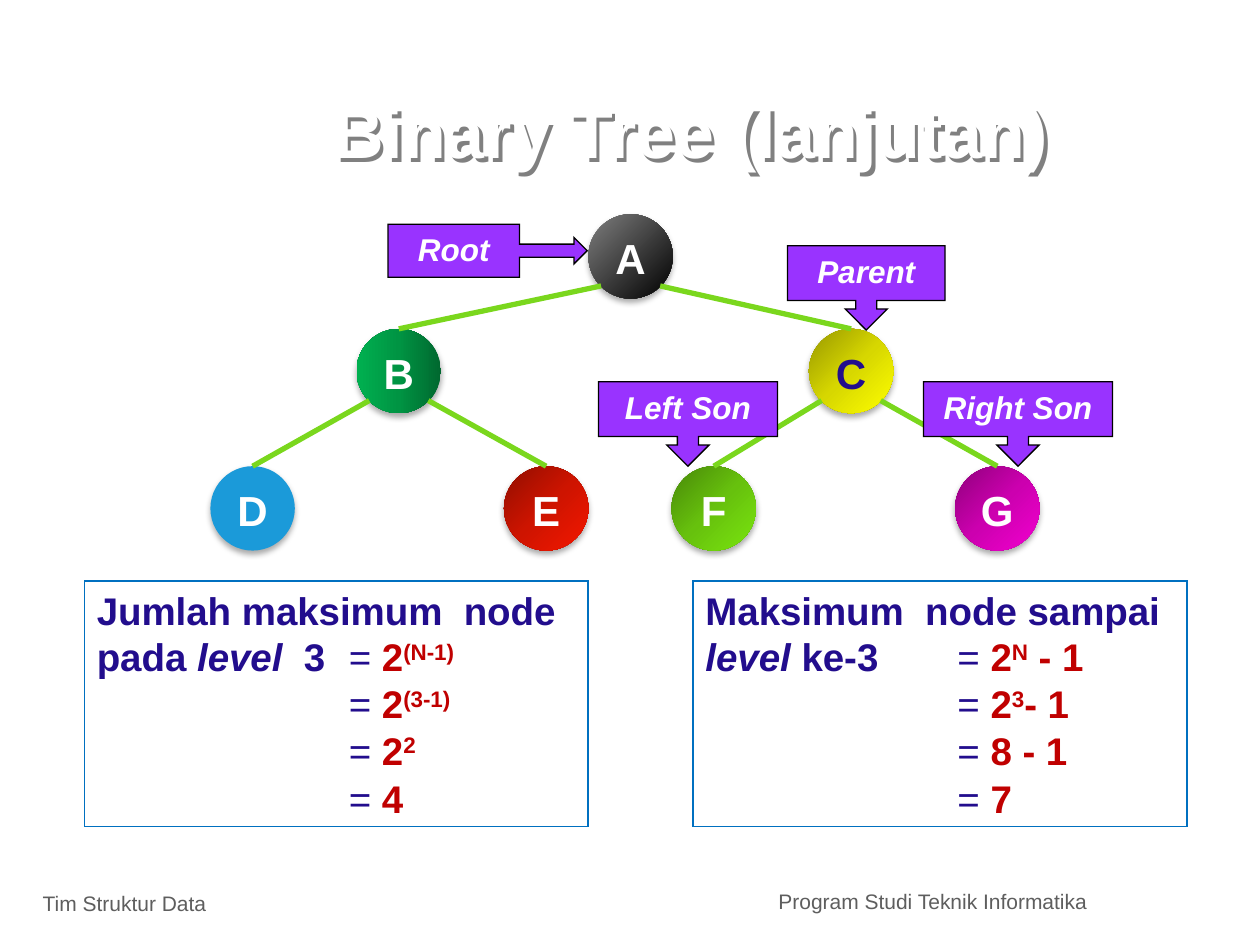
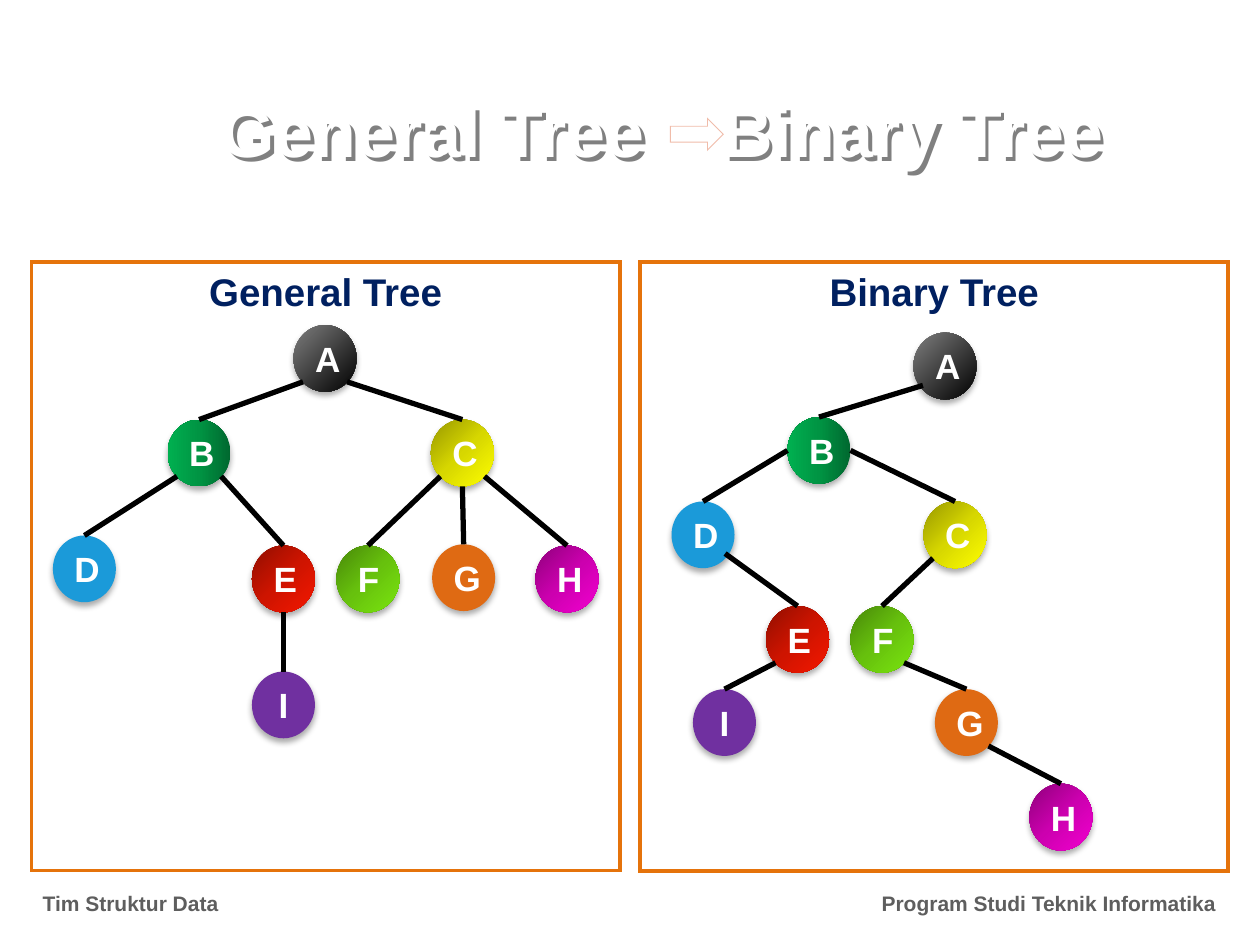
from lxml import etree
from pptx import Presentation
from pptx import util as u
from pptx.dml.color import RGBColor
from pptx.enum import shapes, text
from pptx.oxml.ns import qn

# ---- Shared look ----
COLORS = {"white": "FFFFFF", "black": "000000", "navy": "002060", "indigo": "220D8D",
          "red": "C00000", "purple": "9933FF", "green": "7AD71D", "blue": "0070C0",
          "orange": "E5730B", "footer": "5E5E5E", "title_shadow": "808080", "peach": "F0BCAA"}
FONT = "Arial"
LEFT, CENTER, RIGHT = text.PP_ALIGN.LEFT, text.PP_ALIGN.CENTER, text.PP_ALIGN.RIGHT
TOP, MIDDLE = text.MSO_ANCHOR.TOP, text.MSO_ANCHOR.MIDDLE
TITLE_ONLY = 5

# Node fills: one colour, or gradient stops in percent with a clockwise angle
NODE_FILLS = {
    "gray": ([(0, "7F7F7F"), (100, "000000")], 45),
    "emerald": ([(0, "00682F"), (50, "009443"), (100, "00B050")], 180),
    "yellow": ([(0, "979700"), (50, "D7D700"), (100, "FFFF00")], 45),
    "sky": "1B9AD9",
    "scarlet": ([(0, "910E00"), (50, "CE1400"), (100, "F41700")], 45),
    "lime": ([(0, "488809"), (50, "67C10D"), (100, "7AE50F")], 45),
    "magenta": ([(0, "8F007B"), (50, "CC00AF"), (100, "F200CF")], 45),
    "amber": "DF6A13",
    "violet": "7030A0",
}

# Points on a node where a branch may start, as fractions of its size
BRANCH_STARTS = {"lower left": (0.15, 0.85), "lower right": (0.85, 0.85),
                 "mid left": (0.15, 0.79), "mid right": (0.85, 0.78),
                 "bottom": (0.5, 1), "left": (0, 0.5), "right": (1, 0.5)}

# Text formats
BOLD = {"size": u.Pt(22), "bold": True, "color": "indigo"}
ITALIC = {**BOLD, "italic": True}
EQUALS = {**BOLD, "bold": False}
VALUE = {**BOLD, "color": "red"}
POWER = {**VALUE, "baseline": 30000}
TITLE = {"size": u.Pt(40), "bold": True, "color": "white"}
CALLOUT = {"size": u.Pt(18), "bold": True, "italic": True, "color": "white"}
PANEL = {"size": u.Pt(22), "bold": True, "color": "navy"}

# ---- Slide 1 content ----
LEVEL_TREE = {
    "size": (0.67, 0.67), "font_size": 24, "anchor": TOP, "branch": "green",
    "nodes": {"A": (4.67, 1.7, "gray"), "B": (2.83, 2.61, "emerald"),
              "C": (6.42, 2.61, "yellow"), "D": (1.67, 3.7, "sky"),
              "E": (4, 3.7, "scarlet"), "F": (5.33, 3.7, "lime"),
              "G": (7.58, 3.7, "magenta")},
    "letter_colors": {"C": "indigo"},
    "edges": [("A", "lower left", "B"), ("A", "lower right", "C"),
              ("B", "lower left", "D"), ("B", "lower right", "E"),
              ("C", "lower left", "F"), ("C", "lower right", "G")],
}
DOWN = shapes.MSO_SHAPE.DOWN_ARROW_CALLOUT
CALLOUTS = [("Left Son", DOWN, (4.75, 3.03, 1.42, 0.67)),
            ("Right Son", DOWN, (7.33, 3.03, 1.5, 0.67)),
            ("Root", shapes.MSO_SHAPE.RIGHT_ARROW_CALLOUT, (3.08, 1.78, 1.58, 0.42)),
            ("Parent", DOWN, (6.25, 1.95, 1.25, 0.67))]
EQUALS_TAB = 2
STEP_TOPS = [5.35, 5.72, 6.1]
FORMULAS = [
    {"box": (0.67, 4.61, 4, 1.95),
     "statement": [
         [("Jumlah maksimum  node", BOLD)],
         [("pada ", BOLD), ("level ", ITALIC), (" 3 ", BOLD), ("\t= ", EQUALS),
          ("2", VALUE), ("(N-1)", POWER)]],
     "steps": [[("2", VALUE), ("(3-1)", POWER)],
               [("2", VALUE), ("2", POWER)],
               [("4", VALUE)]]},
    {"box": (5.5, 4.61, 3.92, 1.95),
     "statement": [
         [("Maksimum  node sampai", BOLD)],
         [("level ", ITALIC), ("ke-3 ", BOLD), ("\t= ", EQUALS),
          ("2", VALUE), ("N", POWER), (" - 1", VALUE)]],
     "steps": [[("2", VALUE), ("3", POWER), ("- 1", VALUE)],
               [("8 - 1", VALUE)],
               [("7", VALUE)]]},
]

# ---- Slide 2 content ----
SMALL_TREE = {"size": (0.5, 0.53), "font_size": 20, "anchor": MIDDLE, "branch": "black",
              "letter_colors": {}}
GENERAL_TREE = {
    **SMALL_TREE,
    "nodes": {"A": (2.33, 2.58, "gray"), "B": (1.33, 3.33, "emerald"),
              "C": (3.42, 3.33, "yellow"), "D": (0.42, 4.25, "sky"),
              "E": (2, 4.33, "scarlet"), "F": (2.67, 4.33, "lime"),
              "G": (3.43, 4.32, "amber"), "H": (4.25, 4.33, "magenta"),
              "I": (2, 5.33, "violet")},
    "edges": [("A", "lower left", "B"), ("A", "lower right", "C"),
              ("B", "lower left", "D"), ("B", "lower right", "E"),
              ("C", "lower left", "F"), ("C", "bottom", "G"),
              ("C", "lower right", "H"), ("E", "bottom", "I")],
}
BINARY_TREE = {
    **SMALL_TREE,
    "nodes": {"A": (7.25, 2.64, "gray"), "B": (6.25, 3.31, "emerald"),
              "C": (7.33, 3.98, "yellow"), "D": (5.33, 3.98, "sky"),
              "E": (6.08, 4.81, "scarlet"), "F": (6.75, 4.81, "lime"),
              "G": (7.42, 5.47, "amber"), "H": (8.17, 6.22, "magenta"),
              "I": (5.5, 5.47, "violet")},
    "edges": [("A", "mid left", "B"), ("B", "left", "D"), ("B", "right", "C"),
              ("D", "mid right", "E"), ("E", "lower left", "I"),
              ("C", "lower left", "F"), ("F", "lower right", "G"),
              ("G", "lower right", "H")],
}
PANELS = [("General Tree", 0.25, 2, GENERAL_TREE), ("Binary Tree", 5.08, 2.25, BINARY_TREE)]


# ---- Helpers ----
def rgb(name):
    return RGBColor.from_string(COLORS[name])


def inches(values):
    return [u.Inches(value) for value in values]


def write_text(shape, lines, align=LEFT, anchor=TOP, tab=None):
    """Fill a shape with paragraphs, each a list of (words, format) runs."""
    frame = shape.text_frame
    frame.word_wrap, frame.vertical_anchor = True, anchor
    for number, line in enumerate(lines):
        paragraph = frame.paragraphs[0] if number == 0 else frame.add_paragraph()
        paragraph.alignment = align
        if tab:
            properties = paragraph._p.get_or_add_pPr()
            tabs = etree.SubElement(properties, qn("a:tabLst"))
            etree.SubElement(tabs, qn("a:tab"), pos=str(u.Inches(tab)), algn="l")
        for words, style in line:
            run = paragraph.add_run()
            run.text, run.font.name = words, FONT
            for name, value in style.items():
                if name == "color":
                    run.font.color.rgb = rgb(value)
                elif name in ("baseline", "spc"):
                    run._r.get_or_add_rPr().set(name, str(value))
                else:
                    setattr(run.font, name, value)


def add_shadow(shape, color, alpha, blur, distance, angle):
    shape.shadow.inherit = False
    effects = shape.element.spPr.find(qn("a:effectLst"))
    shadow = etree.SubElement(effects, qn("a:outerShdw"), blurRad=str(u.Pt(blur)),
                              dist=str(u.Pt(distance)), dir=str(angle * 60000),
                              algn="ctr", rotWithShape="0")
    tint = etree.SubElement(shadow, qn("a:srgbClr"), val=COLORS[color])
    etree.SubElement(tint, qn("a:alpha"), val=str(alpha * 1000))


def add_shape(slide, kind, box, fill=None, line=None, width=0.75):
    shape = slide.shapes.add_shape(kind, *inches(box))
    shape.shadow.inherit = False
    if fill:
        shape.fill.solid()
        shape.fill.fore_color.rgb = rgb(fill)
    else:
        shape.fill.background()
    if line:
        shape.line.color.rgb = rgb(line)
        shape.line.width = u.Pt(width)
        outline = shape.element.spPr.find(qn("a:ln"))
        etree.SubElement(outline, qn("a:miter"), lim="800000")
    else:
        shape.line.fill.background()
    return shape


def add_text(slide, box, lines, **layout):
    write_text(slide.shapes.add_textbox(*inches(box)), lines, **layout)


def fill_node(shape, fill):
    if isinstance(fill, str):
        shape.fill.solid()
        shape.fill.fore_color.rgb = RGBColor.from_string(fill)
        return
    stops, angle = fill
    shape.fill.gradient()
    shape.fill.gradient_angle = 360 - angle
    stop_list = shape.element.spPr.find(".//" + qn("a:gsLst"))
    for stop in list(stop_list):
        stop_list.remove(stop)
    for position, color in stops:
        stop = etree.SubElement(stop_list, qn("a:gs"), pos=str(position * 1000))
        etree.SubElement(stop, qn("a:srgbClr"), val=color)


def add_tree(slide, tree):
    width, height = tree["size"]
    circles = {}
    for letter, (left, top, fill) in tree["nodes"].items():
        circle = add_shape(slide, shapes.MSO_SHAPE.OVAL, (left, top, width, height))
        fill_node(circle, NODE_FILLS[fill])
        add_shadow(circle, "black", 32, 3.5, 2.2, 90)
        style = {"size": u.Pt(tree["font_size"]), "bold": True,
                 "color": tree["letter_colors"].get(letter, "white")}
        write_text(circle, [[(letter, style)]], CENTER, tree["anchor"])
        circles[letter] = circle
    # Every branch ends at the top of the child
    for parent, start, child in tree["edges"]:
        left, top, _ = tree["nodes"][parent]
        child_left, child_top, _ = tree["nodes"][child]
        across, down = BRANCH_STARTS[start]
        branch = slide.shapes.add_connector(
            shapes.MSO_CONNECTOR.STRAIGHT,
            *inches((left + across * width, top + down * height,
                     child_left + width / 2, child_top)))
        branch.end_connect(circles[child], 0)
        branch.line.color.rgb = rgb(tree["branch"])
        branch.line.width = u.Pt(3)
        etree.SubElement(branch.element.spPr, qn("a:effectLst"))


def add_slide(presentation, title_runs, title_box, title_align, footer_top, footer_align, bold):
    """Start a slide with its shadowed title and both footers."""
    slide = presentation.slides.add_slide(presentation.slide_layouts[TITLE_ONLY])
    title = slide.shapes.title
    title.left, title.top, title.width, title.height = inches(title_box)
    title.fill.background()
    add_shadow(title, "title_shadow", 100, 0, 3, 45)
    write_text(title, [title_runs], title_align, MIDDLE)
    footer = {"size": u.Pt(12), "bold": bold, "color": "footer"}
    add_text(slide, (0.24, 7.02, 3.01, 0.35), [[("Tim Struktur Data", footer)]])
    add_text(slide, (6.08, footer_top, 3.67, 0.45),
             [[("Program Studi Teknik Informatika", footer)]], align=footer_align)
    return slide


# ---- Slides ----
def build_level_slide(presentation):
    slide = add_slide(presentation, [("Binary Tree (lanjutan)", TITLE)],
                      (2.25, 0.77, 6.17, 0.53), RIGHT, 7, LEFT, False)
    add_tree(slide, LEVEL_TREE)
    for label, kind, box in CALLOUTS:
        callout = add_shape(slide, kind, box, "purple", "black")
        if kind != DOWN:
            callout.adjustments[3] = 0.66
        write_text(callout, [[(label, CALLOUT)]], CENTER)
    # Formula boxes with their worked steps
    for formula in FORMULAS:
        left, _, width, _ = formula["box"]
        frame = add_shape(slide, shapes.MSO_SHAPE.RECTANGLE, formula["box"],
                          line="blue", width=1)
        write_text(frame, formula["statement"], tab=EQUALS_TAB)
        for top, step in zip(STEP_TOPS, formula["steps"]):
            add_text(slide, (left, top, width, 0.47), [[("\t= ", EQUALS), *step]],
                     tab=EQUALS_TAB)


def build_conversion_slide(presentation):
    # The wide space leaves room for the arrow
    title = [("General Tree", TITLE), (" ", {**TITLE, "spc": 3340}), ("Binary Tree ", TITLE)]
    slide = add_slide(presentation, title, (0.83, 0.72, 9, 0.62), CENTER, 7.02, RIGHT, True)
    for heading, left, width, tree in PANELS:
        panel = add_shape(slide, shapes.MSO_SHAPE.RECTANGLE, (left, 2.08, 4.67, 4.83),
                          "white", "orange", width)
        write_text(panel, [[(heading, PANEL)]], CENTER)
        add_tree(slide, tree)
    add_shape(slide, shapes.MSO_SHAPE.RIGHT_ARROW, (5.32, 0.94, 0.42, 0.25),
              "white", "peach", 0.5)


def main():
    presentation = Presentation()
    presentation.slide_width, presentation.slide_height = inches((10, 7.5))
    build_level_slide(presentation)
    build_conversion_slide(presentation)
    presentation.save("out.pptx")


if __name__ == "__main__":
    main()
